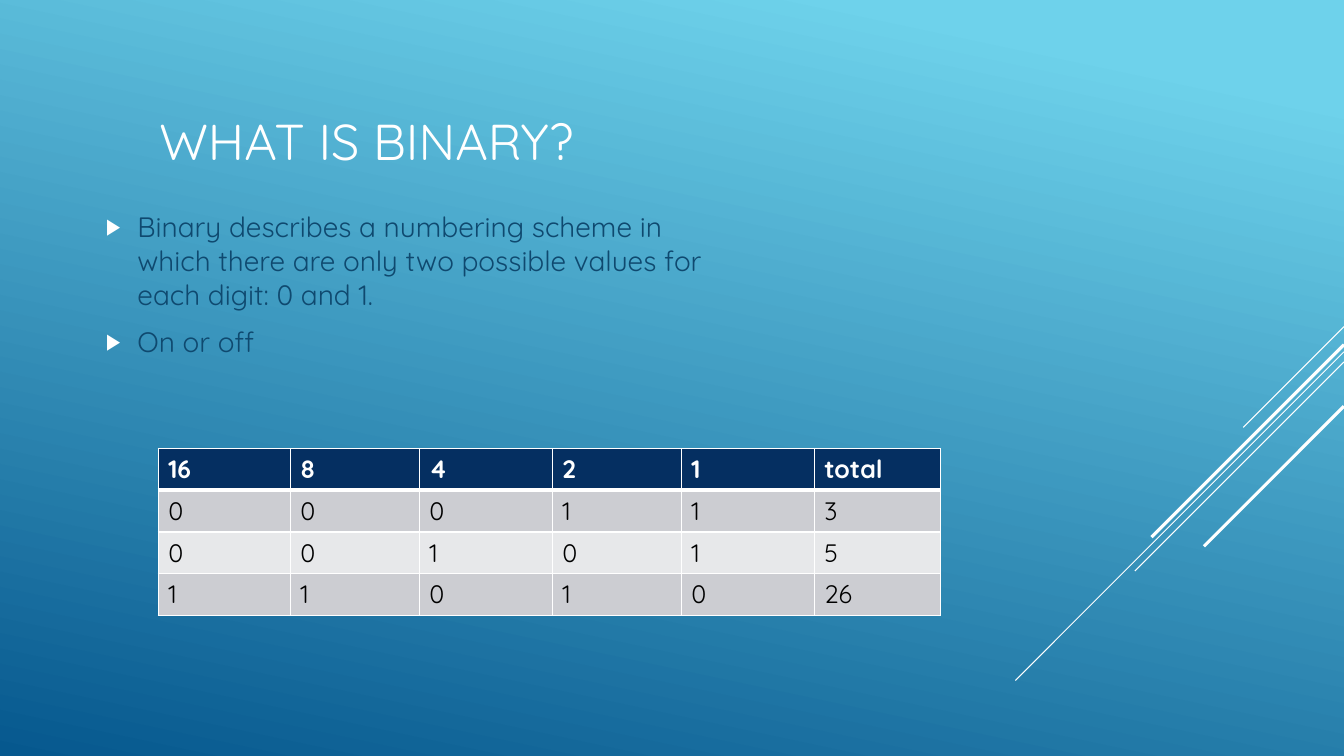
from lxml.etree import SubElement
from pptx import Presentation
from pptx.dml.color import RGBColor
from pptx.enum.shapes import MSO_CONNECTOR as CONN
from pptx.enum.text import MSO_ANCHOR as ANCHOR, MSO_AUTO_SIZE as AUTO, PP_ALIGN as ALIGN
from pptx.oxml import parse_xml
from pptx.oxml.ns import nsdecls, qn
from pptx.util import Pt

WHITE = RGBColor(0xFF, 0xFF, 0xFF)
BLACK = RGBColor(0x00, 0x00, 0x00)
SKY = RGBColor(0x6E, 0xD2, 0xEB)
OCEAN = RGBColor(0x06, 0x58, 0x8E)
INK = RGBColor(0x0F, 0x49, 0x6F)
NAVY = RGBColor(0x05, 0x2F, 0x61)
BANDS = RGBColor(0xCC, 0xCD, 0xD2), RGBColor(0xE7, 0xE8, 0xEA)
FONT = "Quicksand"

BULLETS = [
    "Binary describes a numbering scheme in which there are only two possible "
    "values for each digit: 0 and 1.",
    "On or off",
]
PLACES = [16, 8, 4, 2, 1]
NUMBERS = [3, 5, 26]
COL_WIDTHS = [94.3, 92.2, 95, 92.2, 95, 90]
RAYS = [(0, 72, 0.75), (18, 234.7, 0.75), (25.2, 149.4, 0.75),
        (12.9, 137.5, 2.25), (56.9, 100, 2.25)]


def set_all(obj, values):
    """Set each named attribute of an object."""
    for name, value in values.items():
        setattr(obj, name, value)


def write(p, text, size, color, bold=False):
    """Add one formatted run to a paragraph."""
    r = p.add_run()
    r.text = text
    set_all(r.font, {"name": FONT, "size": Pt(size), "bold": bold})
    r.font.color.rgb = color


def place(sp, left, top, width, height):
    """Move a placeholder to its box and prepare its text frame."""
    box = {"left": left, "top": top, "width": width, "height": height}
    set_all(sp, {name: Pt(value) for name, value in box.items()})
    set_all(sp.text_frame, {"word_wrap": True, "auto_size": AUTO.NONE,
                            "vertical_anchor": ANCHOR.MIDDLE})
    return sp.text_frame


def add_background(slide):
    """Fill the slide with a diagonal blue gradient."""
    fill = slide.background.fill
    fill.gradient()
    fill.gradient_angle = 258
    for stop, color, position in zip(fill.gradient_stops, (SKY, OCEAN), (0.1, 1)):
        stop.color.rgb = color
        stop.position = position


def add_rays(slide, right, top):
    """Draw the 45-degree rays running down from the right edge."""
    for drop, length, width in RAYS:
        y = top + drop
        line = slide.shapes.add_connector(
            CONN.STRAIGHT, Pt(right), Pt(y), Pt(right - length), Pt(y + length))
        line.line.color.rgb = WHITE
        line.line.width = Pt(width)
        SubElement(line._element.spPr, qn("a:effectLst"))


def add_title(slide, *box):
    """Write the title."""
    p = place(slide.shapes.title, *box).paragraphs[0]
    p.alignment = ALIGN.LEFT
    write(p, "WHAT IS BINARY?", 36, WHITE)


def add_bullets(slide, *box):
    """Write the list with white triangle bullets."""
    tf = place(slide.placeholders[1], *box)
    for i, text in enumerate(BULLETS):
        p = tf.add_paragraph() if i else tf.paragraphs[0]
        set_all(p, {"space_before": Pt(4), "space_after": Pt(6)})
        write(p, text, 20, INK)
        pPr = p._p.get_or_add_pPr()
        pPr.set("marL", str(Pt(22.5)))
        pPr.set("indent", str(-Pt(22.5)))
        SubElement(SubElement(pPr, qn("a:buClr")), qn("a:srgbClr"), val=str(WHITE))
        SubElement(pPr, qn("a:buSzPct"), val="80000")
        SubElement(pPr, qn("a:buChar"), char="▶")


def set_borders(cell, top, bottom):
    """Give a cell white borders, with its top and bottom widths in points."""
    tcPr = cell._tc.get_or_add_tcPr()
    for i, (side, width) in enumerate(zip("LRTB", (1, 1, top, bottom))):
        tcPr.insert(i, parse_xml(
            f'<a:ln{side} {nsdecls("a")} w="{Pt(width)}"><a:solidFill>'
            f'<a:srgbClr val="{WHITE}"/></a:solidFill></a:ln{side}>'))


def add_binary_table(slide, left, top, row_height):
    """Tabulate the binary digits of each number under their place values."""
    rows = [[*PLACES, "total"]]
    rows += [[n // place_value % 2 for place_value in PLACES] + [n] for n in NUMBERS]
    table = slide.shapes.add_table(
        len(rows), len(COL_WIDTHS), Pt(left), Pt(top),
        Pt(sum(COL_WIDTHS)), Pt(row_height * len(rows))).table
    for col, width in zip(table.columns, COL_WIDTHS):
        col.width = Pt(width)
    for i, values in enumerate(rows):
        header = i == 0
        for j, value in enumerate(values):
            cell = table.cell(i, j)
            cell.fill.solid()
            cell.fill.fore_color.rgb = NAVY if header else BANDS[(i - 1) % 2]
            set_borders(cell, 3 if i == 1 else 1, 3 if header else 1)
            write(cell.text_frame.paragraphs[0], str(value), 18,
                  WHITE if header else BLACK, header)


def main():
    """Build and save the slide."""
    prs = Presentation()
    set_all(prs, {"slide_width": Pt(960), "slide_height": Pt(540)})
    slide = prs.slides.add_slide(prs.slide_layouts[1])
    add_background(slide)
    add_rays(slide, 960, 233.3)
    add_binary_table(slide, 113, 320.4, 29.7)
    add_title(slide, 106.6, 54, 333.4, 92.2)
    add_bullets(slide, 68.4, 59, 468, 288)
    prs.save("out.pptx")


main()
